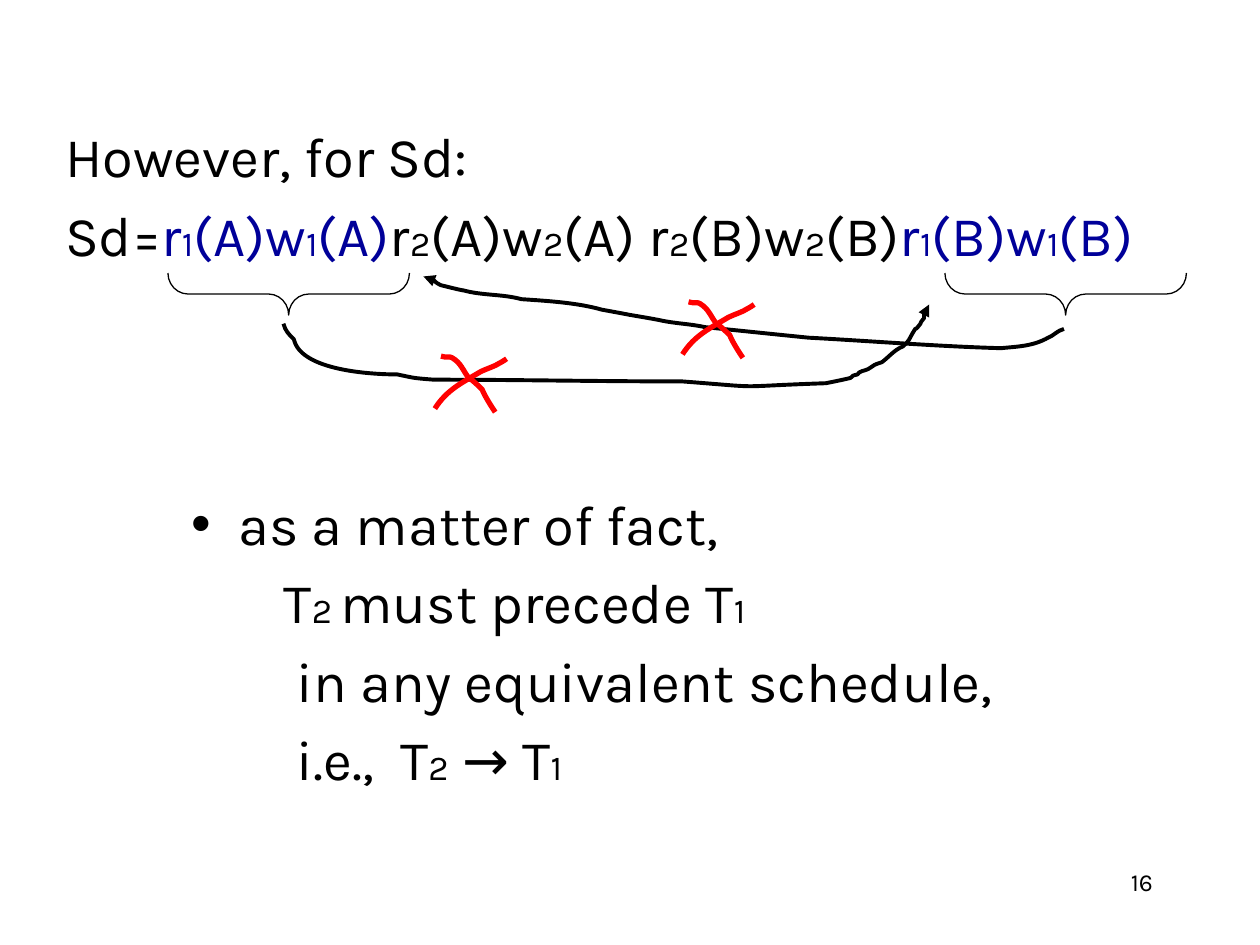
import pptx
import pptx.dml.color
import pptx.enum.shapes
import pptx.enum.text
import pptx.util
from pptx.oxml.ns import qn

Pt = pptx.util.Pt
FONT = "Karla"
COLORS = {"text": "000000", "first": "000099", "cross": "FF0000"}

# Curves: a start point, then two control points and an end point per segment
UPPER_ARROW = [
    (366, 30), (362, 31), (360, 34), (357, 35), (348, 40), (340, 40), (330, 41),
    (294, 40), (257, 37), (220, 35), (200, 33), (181, 31), (161, 29),
    (152, 27), (144, 27), (135, 25), (130, 24), (124, 23), (118, 22),
    (113, 21), (102, 19), (102, 19), (88, 15), (71, 14), (56, 13),
    (45, 10), (34, 11), (23, 8), (22, 8), (14, 6), (10, 5), (6, 3), (5, 0), (0, 0),
]
LOWER_ARROW = [
    (0, 11), (1, 15), (3, 17), (6, 20), (10, 38), (51, 40), (65, 40),
    (75, 42), (73, 42), (86, 43), (133, 43), (180, 44), (228, 44),
    (280, 48), (252, 47), (310, 45), (315, 44), (320, 43), (324, 42),
    (325, 41), (326, 40), (328, 40), (329, 38), (332, 38), (334, 37),
    (339, 34), (336, 35), (342, 33), (346, 30), (349, 26), (354, 24),
    (359, 19), (356, 22), (361, 14), (362, 14), (363, 12), (364, 11),
    (364, 10), (366, 8), (366, 8), (366, 6), (366, 4), (367, 3),
    (367, 2), (369, 0), (369, 0),
]
RISING_STROKE = [(0, 30), (7, 19), (16, 15), (26, 9), (30, 7), (34, 6), (37, 4),
                 (39, 3), (41, 1.5), (41, 1.5)]
FALLING_STROKE = [(3.5, 0), (6, 1), (9, 0), (10, 1), (15, 4), (16, 8), (19, 12),
                  (22, 14), (27, 19), (27, 19), (29, 24), (34.5, 32), (34.5, 32)]


def rgb(name):
    return pptx.dml.color.RGBColor.from_string(COLORS[name])


def add_run(paragraph, text, size, color="text"):
    run = paragraph.add_run()
    run.text = text
    run.font.name = FONT
    run.font.size = Pt(size)
    run.font.color.rgb = rgb(color)
    return run


def add_indexed(paragraph, text, color="text"):
    """Add runs; the parts between underscores are small indices."""
    for number, part in enumerate(text.split("_")):
        if part:
            add_run(paragraph, part, 20 if number % 2 else 32, color)


def place(shape, left, top, width, height):
    shape.left, shape.top = Pt(left), Pt(top)
    shape.width, shape.height = Pt(width), Pt(height)


def prepare_frame(shape, box):
    place(shape, *box)
    frame = shape.text_frame
    frame.word_wrap = True
    frame.auto_size = pptx.enum.text.MSO_AUTO_SIZE.NONE
    frame.vertical_anchor = pptx.enum.text.MSO_ANCHOR.TOP
    frame.paragraphs[0].space_before = Pt(0)
    return frame


def set_bullet(paragraph, character=None, left=27, indent=-27):
    properties = paragraph._p.get_or_add_pPr()
    properties.set("marL", str(Pt(left)))
    properties.set("indent", str(Pt(indent)))
    bullet = properties.makeelement(qn("a:buChar" if character else "a:buNone"), {})
    if character:
        bullet.set("char", character)
    properties.append(bullet)


def fill_schedule(shape, box):
    frame = prepare_frame(shape, box)
    heading, schedule = frame.paragraphs[0], frame.add_paragraph()
    for paragraph in (heading, schedule):
        set_bullet(paragraph)
    add_indexed(heading, "However, for Sd:")
    add_indexed(schedule, "Sd=")
    add_indexed(schedule, "r_1_(A)w_1_(A)", "first")
    add_indexed(schedule, "r_2_(A)w_2_(A) r_2_(B)w_2_(B)")
    add_indexed(schedule, "r_1_(B)w_1_(B)", "first")


def fill_conclusion(shape, box):
    frame = prepare_frame(shape, box)
    paragraph = frame.paragraphs[0]
    set_bullet(paragraph, "•")
    add_indexed(paragraph, "as a matter of fact,")
    for left, text in ((53, "T_2 _must precede T_1"),
                       (60.5, "in any equivalent schedule,"),
                       (60.5, "i.e.,")):
        paragraph = frame.add_paragraph()
        set_bullet(paragraph, left=left, indent=0)
        add_indexed(paragraph, text)
    # Wider gap before the last formula
    gap = add_run(paragraph, " ", 32)
    gap.font._element.set("spc", "740")
    add_indexed(paragraph, "T_2_ → T_1")


def add_brace(slide, left, top, width, height):
    """Brace pointing down, filling the given box once it is turned."""
    brace = slide.shapes.add_shape(pptx.enum.shapes.MSO_SHAPE.LEFT_BRACE, 0, 0, 0, 0)
    offset = (width - height) / 2
    place(brace, left + offset, top - offset, height, width)
    brace.rotation = 270
    brace.adjustments[0] = 0.479
    brace.shadow.inherit = False
    brace.fill.background()
    brace.line.color.rgb = rgb("text")
    brace.line.width = Pt(0.75)


def add_curve(slide, left, top, points, color, width, arrow=False):
    anchors = [(Pt(left + x), Pt(top + y)) for x, y in points[::3]]
    builder = slide.shapes.build_freeform(*anchors[0])
    builder.add_line_segments(anchors[1:], close=False)
    curve = builder.convert_to_shape()

    # Turn each straight segment into a Bezier segment
    for number, segment in enumerate(list(curve._element.iter(qn("a:lnTo")))):
        bezier = segment.makeelement(qn("a:cubicBezTo"), {})
        for x, y in points[3 * number + 1:3 * number + 4]:
            position = {"x": str(Pt(left + x) - curve.left), "y": str(Pt(top + y) - curve.top)}
            bezier.append(bezier.makeelement(qn("a:pt"), position))
        segment.getparent().replace(segment, bezier)

    curve.shadow.inherit = False
    curve.fill.background()
    curve.line.color.rgb = rgb(color)
    curve.line.width = Pt(width)
    if arrow:
        line = curve.line._get_or_add_ln()
        line.append(line.makeelement(qn("a:tailEnd"), {"type": "triangle"}))


def add_cross(slide, left, top):
    for stroke in (RISING_STROKE, FALLING_STROKE):
        add_curve(slide, left, top, stroke, "cross", 3)


def add_slide_number(slide, box):
    frame = prepare_frame(slide.shapes.add_textbox(0, 0, 0, 0), box)
    paragraph = frame.paragraphs[0]
    paragraph.alignment = pptx.enum.text.PP_ALIGN.RIGHT
    add_run(paragraph, "16", 14)


def main():
    presentation = pptx.Presentation()
    presentation.slide_width, presentation.slide_height = Pt(720), Pt(540)
    slide = presentation.slides.add_slide(presentation.slide_layouts[3])
    title = slide.shapes.title._element
    title.getparent().remove(title)

    # Text
    fill_schedule(slide.placeholders[1], (30, 66, 666, 150))
    fill_conclusion(slide.placeholders[2], (102, 276, 552, 240))
    add_slide_number(slide, (516, 492, 150, 36))

    # Braces under both parts of the first transaction
    for left in (96, 540):
        add_brace(slide, left, 156, 138, 24)

    # Moves that are not possible
    add_curve(slide, 242, 158, UPPER_ARROW, "text", 2.25, arrow=True)
    add_curve(slide, 162, 174, LOWER_ARROW, "text", 2.25, arrow=True)
    add_cross(slide, 248.5, 203.5)
    add_cross(slide, 390, 172.5)

    presentation.save("out.pptx")


if __name__ == "__main__":
    main()
